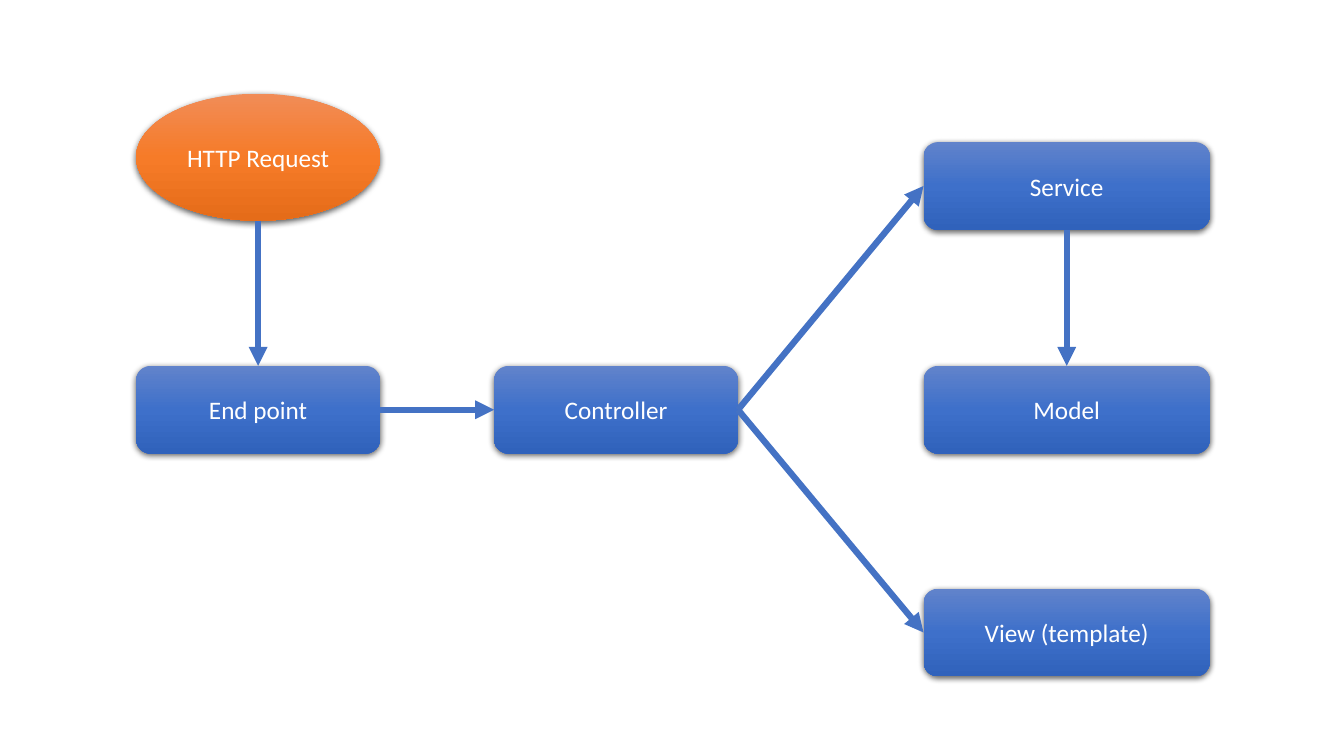
"""Build a slide showing how an HTTP request flows through an MVC application."""
import copy
from dataclasses import dataclass
from enum import IntEnum

import lxml.etree
import pptx
import pptx.dml.color
import pptx.enum.shapes
import pptx.enum.text
import pptx.oxml
import pptx.oxml.ns
import pptx.util

Inches = pptx.util.Inches
Pt = pptx.util.Pt
RGBColor = pptx.dml.color.RGBColor
Shape = pptx.enum.shapes.MSO_SHAPE
qn = pptx.oxml.ns.qn

WHITE = RGBColor(0xFF, 0xFF, 0xFF)
ARROW_BLUE = RGBColor(0x44, 0x72, 0xC4)
BLUES = (RGBColor(0x61, 0x83, 0xCB), RGBColor(0x3E, 0x70, 0xCA), RGBColor(0x30, 0x62, 0xBB))
ORANGES = (RGBColor(0xF1, 0x8C, 0x57), RGBColor(0xF6, 0x7B, 0x28), RGBColor(0xE5, 0x6C, 0x19))

LEFT_X, MIDDLE_X, RIGHT_X = 1.35, 4.9, 9.16
TOP_Y, MIDDLE_Y, BOTTOM_Y = 1.41, 3.63, 5.84
BOX_W, WIDE_W, BOX_H = 2.42, 2.84, 0.87

SHADOW = (
    f'<a:outerShdw {pptx.oxml.ns.nsdecls("a")} blurRad="{Pt(4.5)}" dist="{Pt(1.5)}" '
    'dir="5400000" algn="ctr" rotWithShape="0">'
    '<a:srgbClr val="000000"><a:alpha val="63000"/></a:srgbClr></a:outerShdw>'
)


class Side(IntEnum):
    """Connection sites of a rectangle."""
    TOP = 0
    LEFT = 1
    BOTTOM = 2
    RIGHT = 3


@dataclass(frozen=True)
class Node:
    """A labelled step of the flow, in inches."""
    text: str
    x: float
    y: float
    w: float = BOX_W
    h: float = BOX_H
    kind: Shape = Shape.ROUNDED_RECTANGLE
    colors: tuple[RGBColor, ...] = BLUES


@dataclass(frozen=True)
class Arrow:
    """An arrow between the sides of two nodes."""
    start: Node
    start_side: Side
    end: Node
    end_side: Side


END_POINT = Node("End point", LEFT_X, MIDDLE_Y)
CONTROLLER = Node("Controller", MIDDLE_X, MIDDLE_Y)
SERVICE = Node("Service", RIGHT_X, TOP_Y, WIDE_W)
MODEL = Node("Model", RIGHT_X, MIDDLE_Y, WIDE_W)
VIEW = Node("View (template)", RIGHT_X, BOTTOM_Y, WIDE_W)
REQUEST = Node("HTTP Request", LEFT_X, 0.93, h=1.26, kind=Shape.OVAL, colors=ORANGES)

NODES = (END_POINT, CONTROLLER, SERVICE, MODEL, VIEW, REQUEST)
ARROWS = (
    Arrow(REQUEST, Side.BOTTOM, END_POINT, Side.TOP),
    Arrow(END_POINT, Side.RIGHT, CONTROLLER, Side.LEFT),
    Arrow(CONTROLLER, Side.RIGHT, SERVICE, Side.LEFT),
    Arrow(CONTROLLER, Side.RIGHT, VIEW, Side.LEFT),
    Arrow(SERVICE, Side.BOTTOM, MODEL, Side.TOP),
)


def fill_gradient(s: pptx.shapes.autoshape.Shape, colors: tuple[RGBColor, ...]) -> None:
    """Fill a shape from top to bottom with three evenly spaced colours."""
    s.fill.gradient()
    s.fill.gradient_angle = 270
    stops = s._element.spPr.find(".//" + qn("a:gsLst"))
    stops.insert(1, copy.deepcopy(stops[0]))
    for i, (stop, color) in enumerate(zip(s.fill.gradient_stops, colors)):
        stop.position = i / 2
        stop.color.rgb = color


def add_node(slide: pptx.slide.Slide, node: Node) -> pptx.shapes.autoshape.Shape:
    """Draw a node with its gradient, shadow and label."""
    s = slide.shapes.add_shape(
        node.kind, Inches(node.x), Inches(node.y), Inches(node.w), Inches(node.h))
    fill_gradient(s, node.colors)
    s.line.fill.background()
    s.shadow.inherit = False
    s._element.spPr.find(qn("a:effectLst")).append(pptx.oxml.parse_xml(SHADOW))
    tf = s.text_frame
    tf.word_wrap = True
    tf.vertical_anchor = pptx.enum.text.MSO_ANCHOR.MIDDLE
    p = tf.paragraphs[0]
    p.text = node.text
    p.alignment = pptx.enum.text.PP_ALIGN.CENTER
    p.font.name = "Calibri"
    p.font.size = Pt(18)
    p.font.color.rgb = WHITE
    return s


def add_arrow(slide: pptx.slide.Slide, arrow: Arrow,
              shapes: dict[Node, pptx.shapes.autoshape.Shape]) -> None:
    """Glue an arrow to the two nodes it joins."""
    line = slide.shapes.add_connector(pptx.enum.shapes.MSO_CONNECTOR.STRAIGHT, 0, 0, 0, 0)
    line.begin_connect(shapes[arrow.start], arrow.start_side)
    line.end_connect(shapes[arrow.end], arrow.end_side)
    if arrow.start.kind == Shape.OVAL:
        site = line._element.find(".//" + qn("a:stCxn"))
        site.set("idx", str(2 * arrow.start_side))
    line.line.color.rgb = ARROW_BLUE
    line.line.width = Pt(4.5)
    lxml.etree.SubElement(line.line._get_or_add_ln(), qn("a:tailEnd"), type="triangle")
    lxml.etree.SubElement(line._element.spPr, qn("a:effectLst"))


def main() -> None:
    """Build and save the slide."""
    prs = pptx.Presentation()
    prs.slide_width, prs.slide_height = Inches(13.33), Inches(7.5)
    slide = prs.slides.add_slide(prs.slide_layouts[6])
    shapes = {node: add_node(slide, node) for node in NODES}
    for arrow in ARROWS:
        add_arrow(slide, arrow, shapes)
    prs.save("out.pptx")


main()
